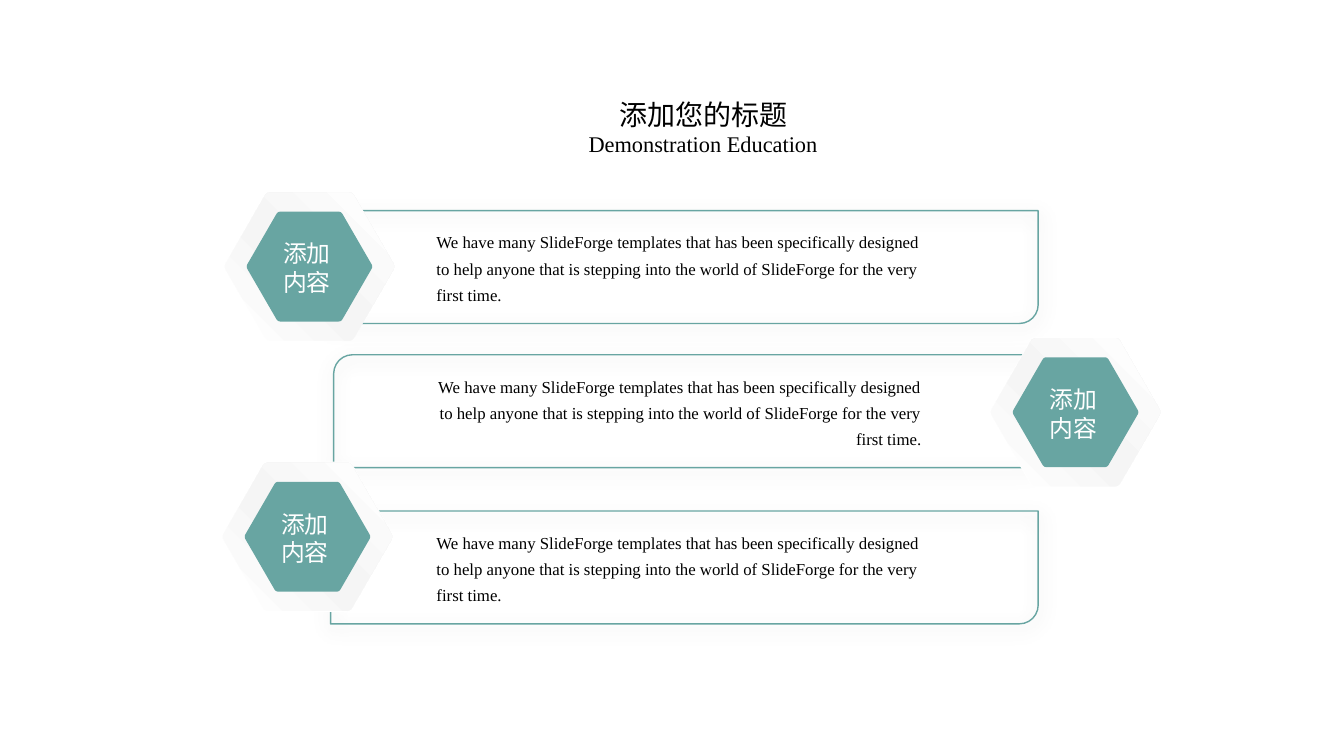
"""Build a slide with three framed paragraphs, each tagged by a hexagon."""
from copy import deepcopy
from dataclasses import dataclass
from math import cos, pi, sin

from lxml.etree import SubElement
from pptx import Presentation
from pptx.dml.color import RGBColor
from pptx.enum.shapes import MSO_SHAPE as Shape
from pptx.enum.text import MSO_ANCHOR as Anchor, MSO_AUTO_SIZE as AutoSize, PP_ALIGN as Align
from pptx.oxml.ns import qn
from pptx.util import Inches, Pt

FONT = "Times New Roman"
TEAL, WHITE, GREY, BLACK = "68A5A2", "FFFFFF", "F5F5F5", "000000"
BODY = ("We have many SlideForge templates that has been specifically designed to help "
        "anyone that is stepping into the world of SlideForge for the very first time.")
WIDTH, HEIGHT = Inches(13.33), Inches(7.5)
COL, ROW = WIDTH / 100, HEIGHT / 100
BACK, RIM, CORE = 6.45, 6.37, 4.72
CORNER, CURVE_STEPS = 0.045, 6


@dataclass
class Entry:
    """One framed paragraph and its hexagon, in columns and rows."""
    panel_x: float
    panel_y: float
    body_x: float
    align: Align
    hex_x: float
    hex_y: float
    label_w: float
    backed: bool


ENTRIES = [
    Entry(24.6, 27.87, 31.35, Align.LEFT, 23.03, 35.27, 7.2, False),
    Entry(24.83, 46.93, 30.6, Align.RIGHT, 80.03, 54.53, 5.85, True),
    Entry(24.6, 67.6, 31.35, Align.LEFT, 22.88, 71, 7.65, True),
]


def rgb(value: str) -> RGBColor:
    """Turn a hex string into a colour."""
    return RGBColor.from_string(value)


def box(x: float, y: float, w: float, h: float) -> tuple:
    """Convert columns and rows to slide lengths."""
    return round(x * COL), round(y * ROW), round(w * COL), round(h * ROW)


def write(s, text: str, size: float, color: str, align: Align, wrap: bool = True,
          spacing: float = 1.0) -> None:
    """Fill a text shape and format every run."""
    tf = s.text_frame
    tf.text = text
    tf.word_wrap = wrap
    tf.auto_size = AutoSize.SHAPE_TO_FIT_TEXT
    tf.vertical_anchor = Anchor.TOP
    for p in tf.paragraphs:
        p.alignment = align
        p.line_spacing = spacing
        for r in p.runs:
            r.font.name = FONT
            r.font.size = Pt(size)
            r.font.color.rgb = rgb(color)


def add_heading(s) -> None:
    """Place the title and the line under it."""
    title = s.shapes.title
    title.left, title.top, title.width, title.height = box(45.3, 12.27, 14.1, 5.87)
    write(title, "添加您的标题", 20, BLACK, Align.CENTER, wrap=False)
    sub = s.shapes.add_textbox(*box(42.9, 16.53, 18.83, 4.93))
    write(sub, "Demonstration Education", 16, BLACK, Align.CENTER, wrap=False)


def add_panel(s, entry: Entry) -> None:
    """Draw the outlined frame with its soft shadow."""
    sp = s.shapes.add_shape(Shape.ROUND_2_DIAG_RECTANGLE,
                            *box(entry.panel_x, entry.panel_y, 52.65, 14.93))
    sp.fill.background()
    sp.line.color.rgb = rgb(TEAL)
    sp.line.width = Pt(1)
    sp.shadow.inherit = False
    effects = sp._element.spPr.find(qn("a:effectLst"))
    shadow = SubElement(effects, qn("a:outerShdw"), blurRad=str(Pt(13)), dist=str(Pt(3)),
                        dir="5400000", algn="t", rotWithShape="0")
    color = SubElement(shadow, qn("a:srgbClr"), val=BLACK)
    SubElement(color, qn("a:alpha"), val="22000")


def add_body(s, entry: Entry) -> None:
    """Write the paragraph inside the frame."""
    sp = s.shapes.add_textbox(*box(entry.body_x, entry.panel_y + 1.1, 39.08, 12.13))
    tf = sp.text_frame
    tf.margin_left = tf.margin_right = Inches(0.15)
    tf.margin_top = tf.margin_bottom = Inches(0.07)
    write(sp, BODY, 12, BLACK, entry.align, spacing=1.3)


def mix(a: tuple, b: tuple, t: float) -> tuple:
    """Return the point a share t of the way from a to b."""
    return a[0] + (b[0] - a[0]) * t, a[1] + (b[1] - a[1]) * t


def hexagon_points(cx: float, cy: float, radius: float) -> list:
    """List the outline of a regular hexagon with rounded corners."""
    corners = [(cx + radius * cos(k * pi / 3), cy + radius * sin(k * pi / 3)) for k in range(6)]
    points = []
    for k, corner in enumerate(corners):
        start = mix(corner, corners[k - 1], CORNER)
        end = mix(corner, corners[(k + 1) % 6], CORNER)
        for step in range(CURVE_STEPS + 1):
            t = step / CURVE_STEPS
            points.append(mix(mix(start, corner, t), mix(corner, end, t), t))
    return points


def add_hexagon(group, entry: Entry, radius: float, color: str):
    """Draw one filled hexagon layer."""
    points = hexagon_points(entry.hex_x * COL, entry.hex_y * ROW, radius * COL)
    builder = group.shapes.build_freeform(*points[0])
    builder.add_line_segments(points[1:], close=True)
    sp = builder.convert_to_shape()
    sp.fill.solid()
    sp.fill.fore_color.rgb = rgb(color)
    sp.line.fill.background()
    sp.shadow.inherit = False
    return sp


def shade(sp) -> None:
    """Give a shape a white, grey, white diagonal gradient."""
    sp.fill.gradient()
    sp.fill.gradient_angle = 45
    stops = sp._element.spPr.find(f".//{qn('a:gsLst')}")
    stops.insert(1, deepcopy(stops[0]))
    for stop, position, color in zip(sp.fill.gradient_stops, (0, 0.47, 1), (WHITE, GREY, WHITE)):
        stop.position = position
        stop.color.rgb = rgb(color)


def add_badge(s, entry: Entry) -> None:
    """Group the hexagon layers with their label."""
    group = s.shapes.add_group_shape()
    if entry.backed:
        add_hexagon(group, entry, BACK, WHITE)
    shade(add_hexagon(group, entry, RIM, WHITE))
    add_hexagon(group, entry, CORE, TEAL)
    label = group.shapes.add_textbox(
        *box(entry.hex_x - 2.7, entry.hex_y - 4.3, entry.label_w, 8.93))
    write(label, "添加\n内容", 17, WHITE, Align.LEFT)


def main() -> None:
    """Assemble and save the slide."""
    prs = Presentation()
    prs.slide_width, prs.slide_height = WIDTH, HEIGHT
    s = prs.slides.add_slide(prs.slide_layouts[5])
    add_heading(s)
    for entry in ENTRIES:
        add_panel(s, entry)
        add_badge(s, entry)
        add_body(s, entry)
    prs.save("out.pptx")


if __name__ == "__main__":
    main()
